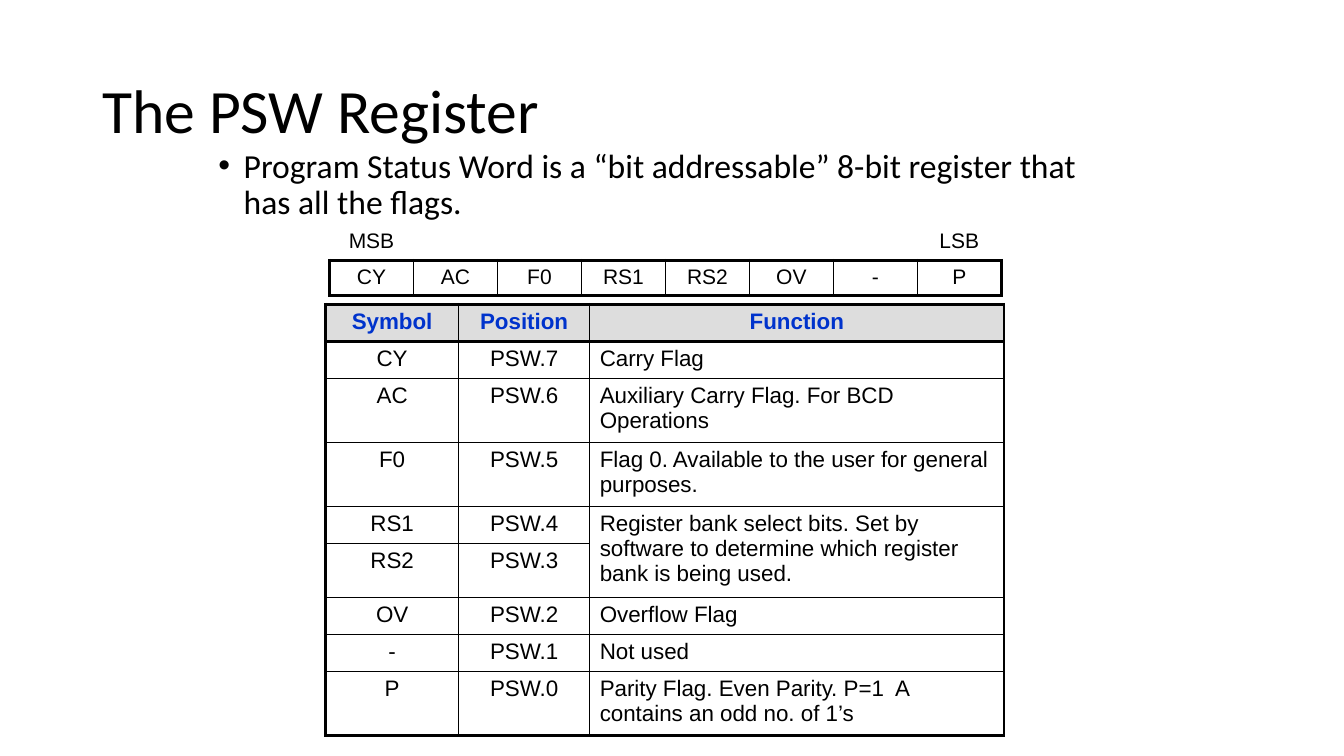
from pptx import Presentation
from pptx.dml import color
from pptx.enum import text
from pptx.oxml import ns
from pptx.util import Pt
from lxml import etree

BLACK, BLUE, GREY = "000000", "0033CC", "DDDDDD"
THIN, THICK = 1, 2.25
NO_STYLE = "{2D5ABB26-0587-4C30-8999-92F81FD0307C}"

BITS = ["CY", "AC", "F0", "RS1", "RS2", "OV", "-", "P"]
FUNCTIONS = [
    "Carry Flag",
    "Auxiliary Carry Flag. For BCD Operations",
    "Flag 0. Available to the user for general purposes.",
    "Register bank select bits. Set by software to determine which register bank is being used.",
    "",
    "Overflow Flag",
    "Not used",
    "Parity Flag. Even Parity. P=1  A contains an odd no. of 1’s",
]
ONE_LINE, TWO_LINES, BANK_END = 26.6, 45.4, 38.2
FLAG_ROWS = [ONE_LINE, ONE_LINE, TWO_LINES, TWO_LINES, ONE_LINE,
             BANK_END, ONE_LINE, ONE_LINE, TWO_LINES]


def rgb(value):
    return color.RGBColor.from_string(value)


def add_run(paragraph, words, size, font, ink=BLACK, bold=False):
    run = paragraph.add_run()
    run.text = words
    run.font.size = Pt(size)
    run.font.name = font
    run.font.bold = bold
    run.font.color.rgb = rgb(ink)


def add_text(slide, box, words, size, anchor):
    shape = slide.shapes.add_textbox(*map(Pt, box))
    frame = shape.text_frame
    frame.word_wrap = True
    frame.vertical_anchor = anchor
    paragraph = frame.paragraphs[0]
    paragraph.line_spacing = 0.9
    add_run(paragraph, words, size, "Calibri")
    return paragraph


def add_bullet(paragraph, indent):
    properties = paragraph._p.get_or_add_pPr()
    properties.set("marL", str(Pt(indent)))
    properties.set("indent", str(Pt(-indent)))
    font = etree.SubElement(properties, ns.qn("a:buFont"))
    font.set("typeface", "Arial")
    bullet = etree.SubElement(properties, ns.qn("a:buChar"))
    bullet.set("char", "•")


def add_grid(slide, left, top, widths, heights):
    frame = slide.shapes.add_table(len(heights), len(widths), Pt(left), Pt(top),
                                   Pt(sum(widths)), Pt(sum(heights)))
    table = frame.table
    table.first_row = table.horz_banding = False
    table._tbl.tblPr.find(ns.qn("a:tableStyleId")).text = NO_STYLE
    for column, width in zip(table.columns, widths):
        column.width = Pt(width)
    for row, height in zip(table.rows, heights):
        row.height = Pt(height)
    return table


def fill_cell(cell, words, size, ink=BLACK, bold=False, centred=True, fill=None):
    paragraph = cell.text_frame.paragraphs[0]
    paragraph.space_before = Pt(3)
    paragraph.alignment = text.PP_ALIGN.CENTER if centred else text.PP_ALIGN.LEFT
    if words:
        add_run(paragraph, words, size, "Arial", ink, bold)
    else:
        paragraph._p.get_or_add_endParaRPr().set("sz", str(size * 100))
    if fill:
        cell.fill.solid()
        cell.fill.fore_color.rgb = rgb(fill)
    else:
        cell.fill.background()


def set_borders(cell, left=THIN, right=THIN, top=THIN, bottom=THIN):
    properties = cell._tc.get_or_add_tcPr()
    sides = [("L", left), ("R", right), ("T", top), ("B", bottom)]
    drawn = [(side, width) for side, width in sides if width]
    for index, (side, width) in enumerate(drawn):
        line = etree.Element(ns.qn("a:ln" + side), w=str(Pt(width)))
        solid = etree.SubElement(line, ns.qn("a:solidFill"))
        etree.SubElement(solid, ns.qn("a:srgbClr"), val=BLACK)
        properties.insert(index, line)


def edge(outer):
    return THICK if outer else THIN


def add_bit_table(slide):
    last = len(BITS) - 1
    table = add_grid(slide, 235.4, 160.6, [60] * len(BITS), [25.2] * 2)
    ends = {0: "MSB", last: "LSB"}
    for column, bit in enumerate(BITS):
        label, name = table.cell(0, column), table.cell(1, column)
        fill_cell(label, ends.get(column, ""), 15)
        set_borders(label, 0, 0, 0, THICK)
        fill_cell(name, bit, 15)
        set_borders(name, edge(column == 0), edge(column == last), THICK, THICK)


def add_flag_table(slide):
    table = add_grid(slide, 232.6, 217.4, [95, 93.6, 296], FLAG_ROWS)
    table.cell(4, 2).merge(table.cell(5, 2))
    rows = [("Symbol", "Position", "Function")]
    for index, (bit, function) in enumerate(zip(BITS, FUNCTIONS)):
        rows.append((bit, f"PSW.{7 - index}", function))
    last = len(rows) - 1
    for row, entries in enumerate(rows):
        header = row == 0
        for column, words in enumerate(entries):
            cell = table.cell(row, column)
            fill_cell(cell, words, 16, BLUE if header else BLACK, header,
                      header or column < 2, GREY if header else None)
            if not cell.is_spanned:
                set_borders(cell, edge(column == 0), edge(column == 2),
                            edge(row <= 1), edge(row in (0, last)))


def main():
    presentation = Presentation()
    presentation.slide_width, presentation.slide_height = Pt(960), Pt(540)
    slide = presentation.slides.add_slide(presentation.slide_layouts[6])
    add_text(slide, (66, 28.8, 828, 104.4), "The PSW Register", 44,
             text.MSO_ANCHOR.MIDDLE)
    summary = add_text(
        slide, (149, 103, 648, 114.5),
        "Program Status Word is a “bit addressable” 8-bit register that has all the flags.",
        24, text.MSO_ANCHOR.TOP)
    summary.space_before = Pt(10)
    add_bullet(summary, 18)
    add_bit_table(slide)
    add_flag_table(slide)
    presentation.save("out.pptx")


if __name__ == "__main__":
    main()
